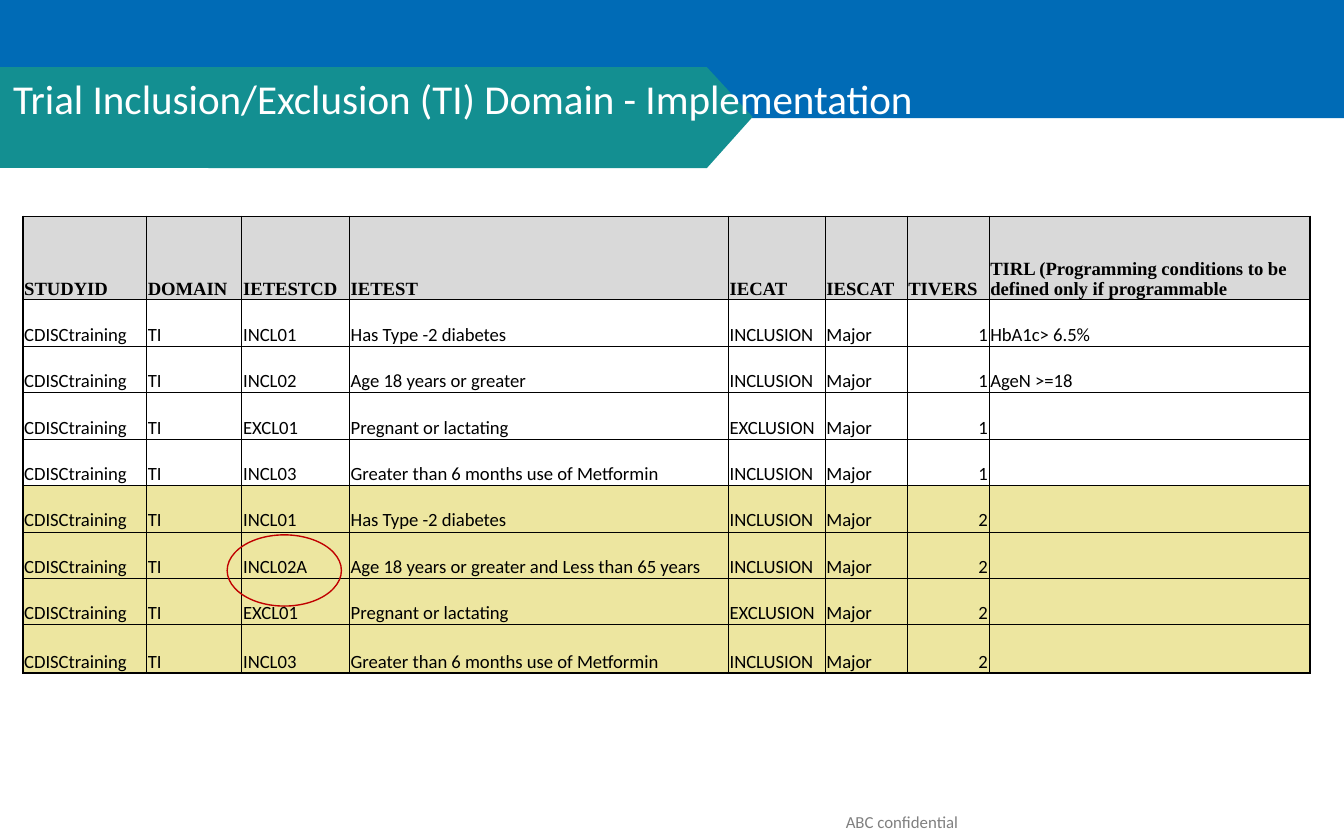
from lxml.etree import SubElement
from pptx import Presentation
from pptx.dml.color import RGBColor
from pptx.enum.shapes import MSO_SHAPE as Shape
from pptx.enum.text import MSO_ANCHOR as Anchor, PP_ALIGN as Align
from pptx.oxml.ns import qn
from pptx.util import Inches, Pt

BLUE = RGBColor(0x00, 0x6B, 0xB6)
TEAL = RGBColor(0x13, 0x8F, 0x91)
WHITE = RGBColor(0xFF, 0xFF, 0xFF)
BLACK = RGBColor(0x00, 0x00, 0x00)
GREY = RGBColor(0x80, 0x80, 0x80)
HEADER_GREY = RGBColor(0xD9, 0xD9, 0xD9)
VERSION_2_YELLOW = RGBColor(0xED, 0xE6, 0xA0)
RED = RGBColor(0xC0, 0x00, 0x00)

deck = Presentation()
deck.slide_width, deck.slide_height = Inches(10), Inches(6.25)
slide = deck.slides.add_slide(deck.slide_layouts[6])
shapes = slide.shapes

# Square grid: 100 columns by 62.5 rows
UNIT = deck.slide_width // 100


def grid(*cells):
    return [round(cell * UNIT) for cell in cells]


def write(paragraph, text, size, color, font="Calibri", bold=False):
    run = paragraph.add_run()
    run.text = text
    run.font.color.rgb = color
    for name, value in dict(name=font, size=Pt(size), bold=bold).items():
        setattr(run.font, name, value)


# Blue band and teal arrow banner
band = shapes.add_shape(Shape.RECTANGLE, *grid(0, 0, 100, 8.8))
banner = shapes.add_shape(Shape.RECTANGLE, *grid(0, 5, 24.6, 7.5))
outline = shapes.build_freeform(*grid(52.6, 5), scale=1.0)
outline.add_line_segments(
    [grid(*point) for point in [(56, 8.7), (52.6, 12.5), (15.5, 12.5), (15.5, 5)]])
arrow = outline.convert_to_shape()
for part, color in [(band, BLUE), (banner, TEAL), (arrow, TEAL)]:
    part.fill.solid()
    part.fill.fore_color.rgb = color
    part.line.fill.background()
    part.shadow.inherit = False

# Title and footer
for text, place, size, color, align, top in [
    ("Trial Inclusion/Exclusion (TI) Domain - Implementation",
     (0, 4.8, 93.1, 5.9), 22, WHITE, Align.LEFT, 0.7),
    ("ABC confidential", (51.7, 59.9, 30.8, 2.1), 9, GREY, Align.CENTER, 0.5),
]:
    frame = shapes.add_textbox(*grid(*place)).text_frame
    frame.word_wrap = True
    frame.margin_top = grid(top)[0]
    frame.paragraphs[0].alignment = align
    write(frame.paragraphs[0], text, size, color)

# Trial criteria, one list per protocol version
HEADERS = ["STUDYID", "DOMAIN", "IETESTCD", "IETEST", "IECAT", "IESCAT", "TIVERS",
           "TIRL (Programming conditions to be defined only if programmable"]
CRITERIA = {
    "1": [("INCL01", "Has Type -2 diabetes", "HbA1c> 6.5%"),
          ("INCL02", "Age 18 years or greater", "AgeN >=18"),
          ("EXCL01", "Pregnant or lactating", ""),
          ("INCL03", "Greater than 6 months use of Metformin", "")],
    "2": [("INCL01", "Has Type -2 diabetes", ""),
          ("INCL02A", "Age 18 years or greater and Less than 65 years", ""),
          ("EXCL01", "Pregnant or lactating", ""),
          ("INCL03", "Greater than 6 months use of Metformin", "")],
}
CATEGORIES = {"INCL": "INCLUSION", "EXCL": "EXCLUSION"}
records = [HEADERS] + [
    ["CDISCtraining", "TI", code, test, CATEGORIES[code[:4]], "Major", version, rule]
    for version, criteria in CRITERIA.items() for code, test, rule in criteria]

# Domain table
widths = grid(9.2, 7.1, 8, 28.2, 7.2, 6.1, 6.1, 23.9)
heights = grid(6.2, *[3.46] * 7, 3.6)
VERSION_COLUMN = HEADERS.index("TIVERS")
last_row, last_column = len(records) - 1, len(HEADERS) - 1
domain = shapes.add_table(len(records), len(HEADERS), *grid(1.7, 16.1),
                          sum(widths), sum(heights)).table
domain.first_row = domain.horz_banding = False
for column, width in zip(domain.columns, widths):
    column.width = width
for row, height in zip(domain.rows, heights):
    row.height = height

edge = grid(0.1)[0]
CELL_FORMAT = dict(margin_left=edge, margin_right=edge, margin_top=edge,
                   margin_bottom=0, vertical_anchor=Anchor.BOTTOM)
for r, record in enumerate(records):
    for c, text in enumerate(record):
        cell = domain.cell(r, c)
        for name, value in CELL_FORMAT.items():
            setattr(cell, name, value)

        # Heavy lines around the table and below the header
        heavy = {"a:lnL": c == 0, "a:lnR": c == last_column,
                 "a:lnT": r <= 1, "a:lnB": r in (0, last_row)}
        properties = cell._tc.get_or_add_tcPr()
        for side, is_heavy in heavy.items():
            border = SubElement(properties, qn(side), w=str(Pt(1 if is_heavy else 0.5)))
            SubElement(SubElement(border, qn("a:solidFill")), qn("a:srgbClr"), val=str(BLACK))

        if r == 0 or record[VERSION_COLUMN] == "2":
            cell.fill.solid()
            cell.fill.fore_color.rgb = VERSION_2_YELLOW if r else HEADER_GREY
        else:
            cell.fill.background()

        paragraph = cell.text_frame.paragraphs[0]
        if r and c == VERSION_COLUMN:
            paragraph.alignment = Align.RIGHT
        if text:
            write(paragraph, text, 10, BLACK,
                  "Calibri" if r else "Times New Roman", bold=r == 0)

# Ring around the amended criterion
ring = shapes.add_shape(Shape.OVAL, *grid(16.9, 39.8, 8.5, 5.3))
ring.fill.background()
ring.line.color.rgb = RED
ring.line.width = Pt(0.75)
ring.shadow.inherit = False

deck.save("out.pptx")
